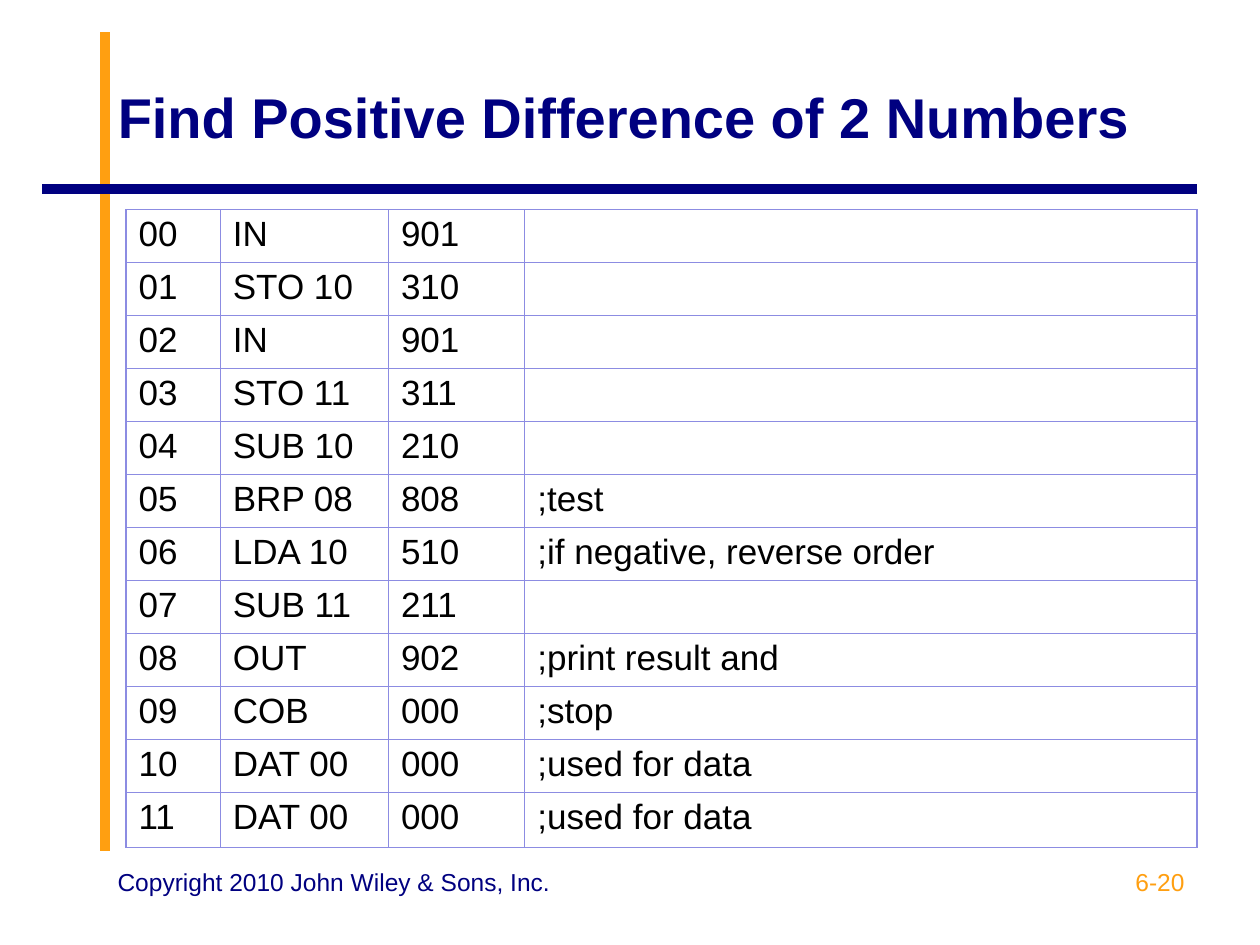
from lxml.etree import SubElement
from pptx import Presentation
from pptx.dml.color import RGBColor
from pptx.enum.shapes import MSO_CONNECTOR
from pptx.enum.text import MSO_ANCHOR, MSO_AUTO_SIZE, PP_ALIGN
from pptx.oxml.ns import qn
from pptx.util import Cm, Pt

NAVY = RGBColor(0x00, 0x00, 0x80)
ORANGE = RGBColor(0xFF, 0x9F, 0x11)
BLACK = RGBColor(0x00, 0x00, 0x00)
GRID = RGBColor(0x8C, 0x8C, 0xE2)

COLUMN_WIDTHS = [1.9, 3.39, 2.75, 13.55]
ROW_HEIGHT = 1.04
LAST_ROW_HEIGHT = 1.1
PROGRAM = [
    ("IN", "901", ""),
    ("STO 10", "310", ""),
    ("IN", "901", ""),
    ("STO 11", "311", ""),
    ("SUB 10", "210", ""),
    ("BRP 08", "808", ";test"),
    ("LDA 10", "510", ";if negative, reverse order"),
    ("SUB 11", "211", ""),
    ("OUT", "902", ";print result and"),
    ("COB", "000", ";stop"),
    ("DAT 00", "000", ";used for data"),
    ("DAT 00", "000", ";used for data"),
]


class SlideBuilder:
    font_name = "Arial"

    def __init__(self, slide):
        self.slide = slide

    def set_text(self, text_frame, text, size, color, bold=False, align=PP_ALIGN.LEFT):
        text_frame.text = text
        paragraph = text_frame.paragraphs[0]
        paragraph.alignment = align
        for run in paragraph.runs:
            run.font.name = self.font_name
            run.font.size = Pt(size)
            run.font.bold = bold
            run.font.color.rgb = color

    def title(self, text, left, top, width, height):
        shape = self.slide.shapes.title
        shape.left, shape.top = Cm(left), Cm(top)
        shape.width, shape.height = Cm(width), Cm(height)
        text_frame = shape.text_frame
        text_frame.auto_size = MSO_AUTO_SIZE.NONE
        text_frame.vertical_anchor = MSO_ANCHOR.MIDDLE
        self.set_text(text_frame, text, 32, NAVY, bold=True)

    def text(self, text, left, top, width, height, color, align=PP_ALIGN.LEFT):
        box = self.slide.shapes.add_textbox(Cm(left), Cm(top), Cm(width), Cm(height))
        box.text_frame.word_wrap = True
        self.set_text(box.text_frame, text, 14, color, align=align)

    def line(self, start, end, color):
        points = [Cm(value) for value in (*start, *end)]
        connector = self.slide.shapes.add_connector(MSO_CONNECTOR.STRAIGHT, *points)
        connector.line.color.rgb = color
        connector.line.width = Pt(5.5)
        SubElement(connector._element.spPr, qn("a:effectLst"))

    def cell_borders(self, cell):
        properties = cell._tc.get_or_add_tcPr()
        for side in ("a:lnL", "a:lnR", "a:lnT", "a:lnB"):
            border = SubElement(properties, qn(side), w=str(Pt(0.75)))
            fill = SubElement(border, qn("a:solidFill"))
            SubElement(fill, qn("a:srgbClr"), val=str(GRID))

    def table(self, rows, left, top):
        height = ROW_HEIGHT * (len(rows) - 1) + LAST_ROW_HEIGHT
        frame = self.slide.shapes.add_table(
            len(rows), len(COLUMN_WIDTHS), Cm(left), Cm(top),
            Cm(sum(COLUMN_WIDTHS)), Cm(height))
        table = frame.table
        table.first_row = table.horz_banding = False
        for column, width in zip(table.columns, COLUMN_WIDTHS):
            column.width = Cm(width)
        for row, values in zip(table.rows, rows):
            row.height = Cm(ROW_HEIGHT)
            for cell, value in zip(row.cells, values):
                cell.margin_top = cell.margin_bottom = Cm(0.11)
                self.set_text(cell.text_frame, value, 20, BLACK)
                self.cell_borders(cell)
                cell.fill.background()
        table.rows[len(rows) - 1].height = Cm(LAST_ROW_HEIGHT)


def main():
    presentation = Presentation()
    presentation.slide_width, presentation.slide_height = Cm(25.4), Cm(19.05)
    title_only = presentation.slide_layouts[5]
    builder = SlideBuilder(presentation.slides.add_slide(title_only))

    # Crossing rules
    builder.line((2.12, 17.15), (2.12, 0.64), ORANGE)
    builder.line((24.13, 3.81), (0.85, 3.81), NAVY)

    # Footer
    builder.text("Copyright 2010 John Wiley & Sons, Inc.", 2.12, 17.35, 9.31, 1.32, NAVY)
    builder.text("6-20", 18.2, 17.35, 5.93, 1.32, ORANGE, PP_ALIGN.RIGHT)

    # Title
    builder.title("Find Positive Difference of 2 Numbers", 2.12, 0.76, 22.01, 3.18)

    # Program listing, numbered by address
    rows = [(f"{address:02}", *line) for address, line in enumerate(PROGRAM)]
    builder.table(rows, 2.54, 4.23)

    presentation.save("out.pptx")


if __name__ == "__main__":
    main()
